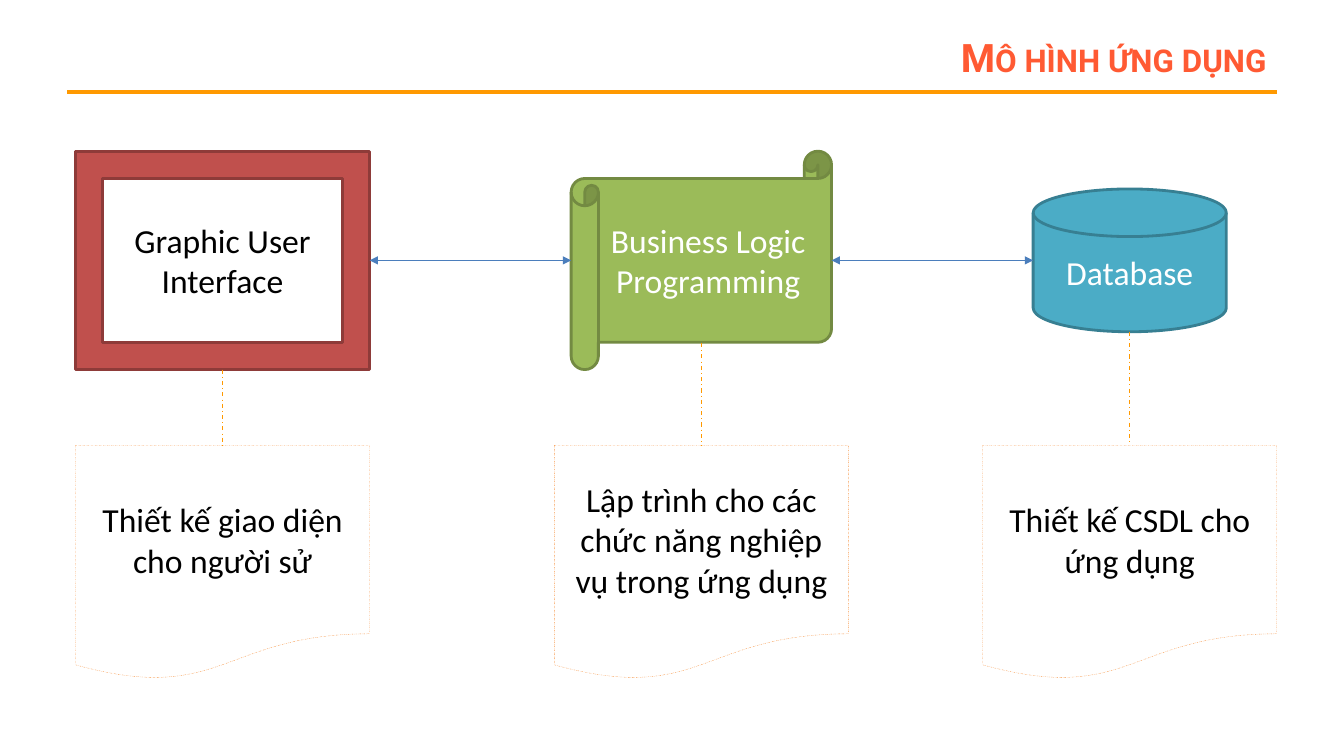
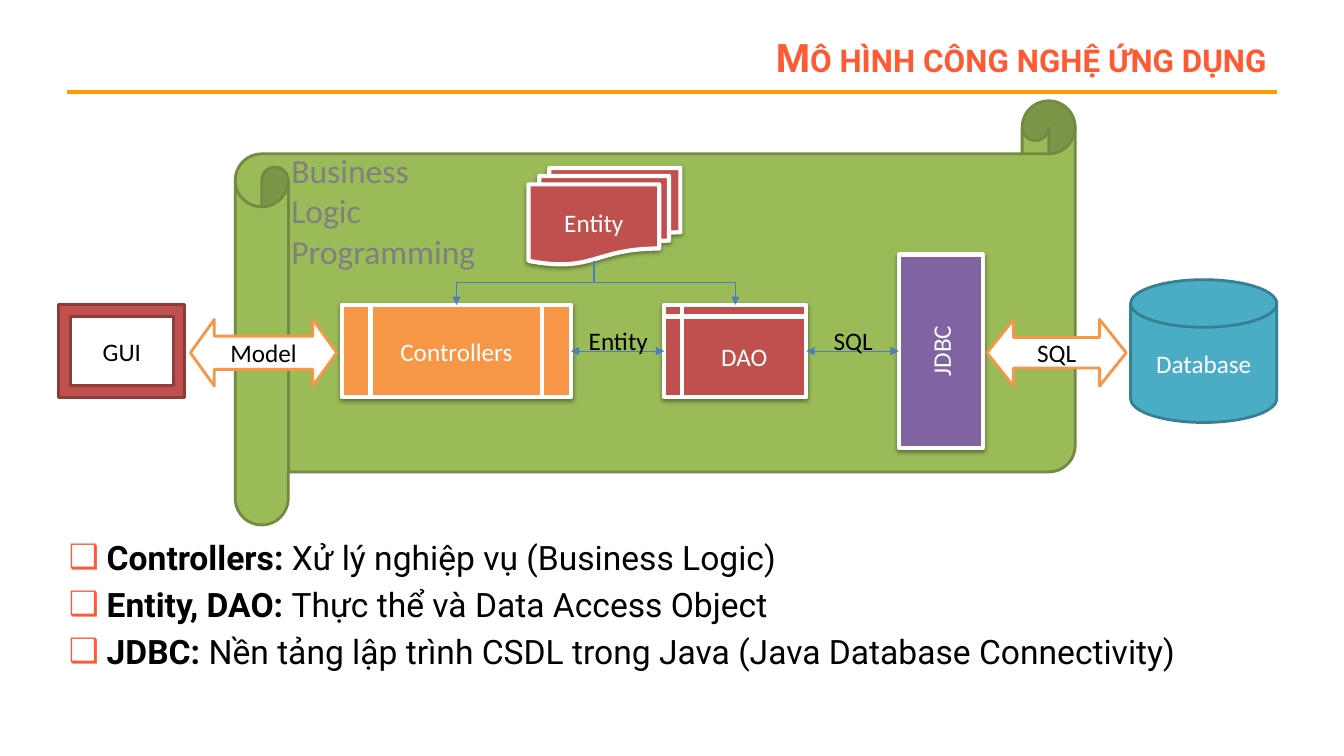
from typing import NamedTuple

from lxml.etree import SubElement
from pptx import Presentation
from pptx.dml.color import RGBColor
from pptx.enum.dml import MSO_LINE
from pptx.enum.shapes import MSO_CONNECTOR, MSO_SHAPE
from pptx.enum.text import MSO_ANCHOR, MSO_AUTO_SIZE, PP_ALIGN
from pptx.oxml.ns import qn
from pptx.util import Pt

COLORS = {
    "title": "FF5A33", "rule": "FF9900", "black": "000000", "white": "FFFFFF",
    "gray": "808080", "red": "C0504D", "dark_red": "8E3B39",
    "green": "9BBB59", "dark_green": "738A42", "teal": "4BACC6",
    "dark_teal": "377F92", "purple": "8064A2", "orange": "F79646", "blue": "4B7EBC",
}
TITLE_FONT, DIAGRAM_FONT = "Roboto", "Calibri"
TOP, LEFT, BOTTOM, RIGHT = range(4)


class Box(NamedTuple):
    """A rectangle in points."""
    left: float
    top: float
    width: float
    height: float

    @property
    def right(self):
        return self.left + self.width

    @property
    def bottom(self):
        return self.top + self.height

    @property
    def middle(self):
        return self.left + self.width / 2

    def points(self):
        return [Pt(length) for length in self]


def centered(x, y, width, height):
    return Box(x - width / 2, y - height / 2, width, height)


def rgb(name):
    return RGBColor.from_string(COLORS[name])


def set_font(paragraph, name, size, color):
    font = paragraph.font
    font.name, font.size = name, Pt(size)
    font.color.rgb = rgb(color)


def place(shape, box):
    shape.left, shape.top, shape.width, shape.height = box.points()


# Shared building blocks
def add_block(slide, kind, box, fill, line, width=2, text="", size=18, color="white",
              shadow=False):
    shape = slide.shapes.add_shape(kind, *box.points())
    shape.fill.solid()
    shape.fill.fore_color.rgb = rgb(fill)
    shape.line.color.rgb = rgb(line)
    shape.line.width = Pt(width)
    shape.shadow.inherit = False
    if shadow:
        effects = shape._element.spPr.find(qn("a:effectLst"))
        outer = SubElement(effects, qn("a:outerShdw"), blurRad="40000", dist="20000",
                           dir="5400000", rotWithShape="0")
        tint = SubElement(outer, qn("a:srgbClr"), val=COLORS["black"])
        SubElement(tint, qn("a:alpha"), val="38000")
    if text:
        shape.text_frame.text = text
        paragraph = shape.text_frame.paragraphs[0]
        paragraph.alignment = PP_ALIGN.CENTER
        set_font(paragraph, DIAGRAM_FONT, size, color)
    return shape


def add_gui(slide, box, text, size):
    return add_block(slide, MSO_SHAPE.FRAME, box, "red", "dark_red",
                     text=text, size=size, color="black")


def add_scroll(slide, box, text="", size=24):
    return add_block(slide, MSO_SHAPE.HORIZONTAL_SCROLL, box, "green", "dark_green",
                     text=text, size=size)


def add_database(slide, box, size):
    return add_block(slide, MSO_SHAPE.FLOWCHART_MAGNETIC_DISK, box, "teal", "dark_teal",
                     text="Database", size=size)


def add_line(slide, start, end, color="blue", width=0.75, heads=(), dashed=False,
             kind=MSO_CONNECTOR.STRAIGHT):
    ends = [Pt(value) for value in (*start, *end)]
    connector = slide.shapes.add_connector(kind, *ends)
    connector.line.color.rgb = rgb(color)
    connector.line.width = Pt(width)
    if dashed:
        connector.line.dash_style = MSO_LINE.DASH_DOT
    properties = connector._element.spPr
    for head in heads:
        SubElement(properties.find(qn("a:ln")), qn(f"a:{head}"), type="triangle")
    SubElement(properties, qn("a:effectLst"))
    return connector


def add_double_arrow(slide, start, end):
    return add_line(slide, start, end, heads=("headEnd", "tailEnd"))


def add_elbow(slide, start, end):
    """Draw a down-across-down arrow as a turned elbow connector."""
    x, y = (start[0] + end[0]) / 2, (start[1] + end[1]) / 2
    goes_right = end[0] > start[0]
    rise, run = (end[1] - start[1]) / 2, abs(end[0] - start[0]) / 2
    if goes_right:
        rise = -rise
    elbow = add_line(slide, (x - rise, y - run), (x + rise, y + run),
                     heads=("tailEnd",), kind=MSO_CONNECTOR.ELBOW)
    elbow.rotation = 270 if goes_right else 90


def add_label(slide, box, lines, size, color, align):
    label = slide.shapes.add_textbox(*box.points())
    frame = label.text_frame
    frame.word_wrap = False
    frame.auto_size = MSO_AUTO_SIZE.SHAPE_TO_FIT_TEXT
    frame.text = "\n".join(lines)
    for paragraph in frame.paragraphs:
        paragraph.alignment = align
        set_font(paragraph, DIAGRAM_FONT, size, color)


def add_titled_slide(presentation, layout, title):
    slide = presentation.slides.add_slide(presentation.slide_layouts[layout])
    shape = slide.shapes.title
    place(shape, Box(176, 21.5, 736, 38))
    frame = shape.text_frame
    frame.text = title
    frame.auto_size = MSO_AUTO_SIZE.NONE
    frame.vertical_anchor = MSO_ANCHOR.MIDDLE
    paragraph = frame.paragraphs[0]
    paragraph.alignment = PP_ALIGN.RIGHT
    set_font(paragraph, TITLE_FONT, 28, "title")
    paragraph.font.bold = True
    paragraph.runs[0]._r.get_or_add_rPr().set("cap", "small")
    return slide


def add_master_rule(presentation, slide):
    """Draw the line under the title and hand it to the slide master."""
    rule = add_line(slide, (48, 66), (912, 66), "rule", 3)
    presentation.slide_master.shapes.element.append(rule._element)


# Slide 1: three tiers, each with a note below
def application_model(slide, box):
    axis = box.top + 78
    centers = [box.left + offset for offset in (105, 447, 753)]
    gui_box = centered(centers[0], axis, 210, 156)
    logic_box = centered(centers[1], axis, 186, 156)
    data_box = centered(centers[2], axis, 138, 102)
    gui = add_gui(slide, gui_box, "Graphic User Interface", 24)
    logic = add_scroll(slide, logic_box, "Business Logic Programming")
    add_database(slide, data_box, 24)

    # Links between tiers
    link = add_double_arrow(slide, (gui_box.right, axis), (logic_box.left, axis))
    link.begin_connect(gui, RIGHT)
    link.end_connect(logic, LEFT)
    link = add_double_arrow(slide, (logic_box.right, axis), (data_box.left, axis))
    link.begin_connect(logic, RIGHT)

    # Notes and their dashed leads
    notes = ("Thiết kế giao diện cho người sử",
             "Lập trình cho các chức năng nghiệp vụ trong ứng dụng",
             "Thiết kế CSDL cho ứng dụng")
    lead_tops = (gui_box.bottom, logic_box.bottom - 19, data_box.bottom)
    for center, text, lead_top in zip(centers, notes, lead_tops):
        note_box = Box(center - 105, box.bottom - 168, 210, 168)
        note = add_block(slide, MSO_SHAPE.FLOWCHART_DOCUMENT, note_box, "white", "orange",
                         0.25, text, 24, "black")
        note.line.dash_style = MSO_LINE.DASH_DOT
        lead = add_line(slide, (center, lead_top), (center, note_box.top), "rule",
                        dashed=True)
        lead.end_connect(note, TOP)
        if center == centers[0]:
            lead.begin_connect(gui, BOTTOM)


# Slide 2: technologies inside the business logic
def technology_model(slide, box):
    axis = box.top + 178.8

    def on_axis(offset, width, height, drop=0):
        return Box(box.left + offset, axis - height / 2 + drop, width, height)

    add_scroll(slide, Box(box.left + 126, box.top, 600, box.height))
    add_database(slide, on_axis(765.6, 104.4, 102), 18)
    add_gui(slide, on_axis(0, 90, 66), "GUI", 18)

    # Components
    def add_component(kind, part_box, fill, text):
        return add_block(slide, kind, part_box, fill, "white", 3, text, shadow=True)

    jdbc_box = on_axis(600, 60, 138)
    controllers_box = on_axis(202.3, 163.5, 66)
    dao_box = on_axis(432.5, 101.5, 66)
    entity_box = Box(box.left + 335.5, box.top + 48, 108.5, 69)
    jdbc = add_component(MSO_SHAPE.RECTANGLE, centered(jdbc_box.middle, axis, 138, 60),
                         "purple", "JDBC")
    jdbc.rotation = 270
    add_component(MSO_SHAPE.FLOWCHART_MULTIDOCUMENT, entity_box, "red", "Entity")
    controllers = add_component(MSO_SHAPE.FLOWCHART_PREDEFINED_PROCESS, controllers_box,
                                "orange", "Controllers")
    dao = add_component(MSO_SHAPE.FLOWCHART_INTERNAL_STORAGE, dao_box, "red", "DAO")

    # Links between components
    link = add_double_arrow(slide, (controllers_box.right, axis), (dao_box.left, axis))
    link.begin_connect(controllers, RIGHT)
    link.end_connect(dao, LEFT)
    link = add_double_arrow(slide, (dao_box.right, axis), (jdbc_box.left, axis))
    link.begin_connect(dao, RIGHT)
    entity_foot = (entity_box.left + 46.8, entity_box.bottom - 2.5)
    for target in (controllers_box, dao_box):
        add_elbow(slide, entity_foot, (target.middle, target.top))
    for before, after, text in ((dao_box, jdbc_box, "SQL"),
                                (controllers_box, dao_box, "Entity")):
        gap = Box(before.right + 0.5, axis - 21.8, after.left - before.right, 29)
        add_label(slide, gap, [text], 18, "black", PP_ALIGN.CENTER)

    # Wide arrows to the outer tiers
    for offset, width, text, adjustments in ((94, 104.5, "Model", (0.5, 0.36)),
                                             (663, 99.5, "SQL", (0.46, 0.4))):
        arrow_box = on_axis(offset, width, 47.5, drop=1.2)
        arrow = add_block(slide, MSO_SHAPE.LEFT_RIGHT_ARROW, arrow_box,
                          "white", "orange", text=text, color="black")
        for index, value in enumerate(adjustments):
            arrow.adjustments[index] = value

    add_label(slide, Box(box.left + 159, box.top + 31.5, 147, 94.5),
              ["Business", "Logic", "Programming"], 24, "gray", PP_ALIGN.LEFT)


def bullet_list(slide, box, items):
    body = slide.placeholders[1]
    place(body, box)
    frame = body.text_frame
    frame.auto_size = MSO_AUTO_SIZE.NONE
    for index, (term, meaning) in enumerate(items):
        paragraph = frame.add_paragraph() if index else frame.paragraphs[0]
        properties = paragraph._p.get_or_add_pPr()
        properties.set("marL", str(Pt(27)))
        properties.set("indent", str(Pt(-27)))
        bullet_color = SubElement(properties, qn("a:buClr"))
        SubElement(bullet_color, qn("a:srgbClr"), val=COLORS["title"])
        SubElement(properties, qn("a:buChar"), char="❑")
        paragraph.space_before = Pt(4.8 if index else 0)
        set_font(paragraph, TITLE_FONT, 24, "black")
        run = paragraph.add_run()
        run.text = f"{term}: "
        run.font.bold = True
        paragraph.add_run().text = meaning


def main():
    presentation = Presentation()
    presentation.slide_width, presentation.slide_height = Pt(960), Pt(540)

    slide = add_titled_slide(presentation, 5, "Mô hình ứng dụng")
    add_master_rule(presentation, slide)
    application_model(slide, Box(54, 108, 858, 378))

    slide = add_titled_slide(presentation, 1, "Mô hình công nghệ ứng dụng")
    technology_model(slide, Box(42, 72, 870, 303))
    bullet_list(slide, Box(42, 380, 870, 142), [
        ("Controllers", "Xử lý nghiệp vụ (Business Logic)"),
        ("Entity, DAO", "Thực thể và Data Access Object"),
        ("JDBC", "Nền tảng lập trình CSDL trong Java (Java Database Connectivity)"),
    ])
    presentation.save("out.pptx")


if __name__ == "__main__":
    main()
